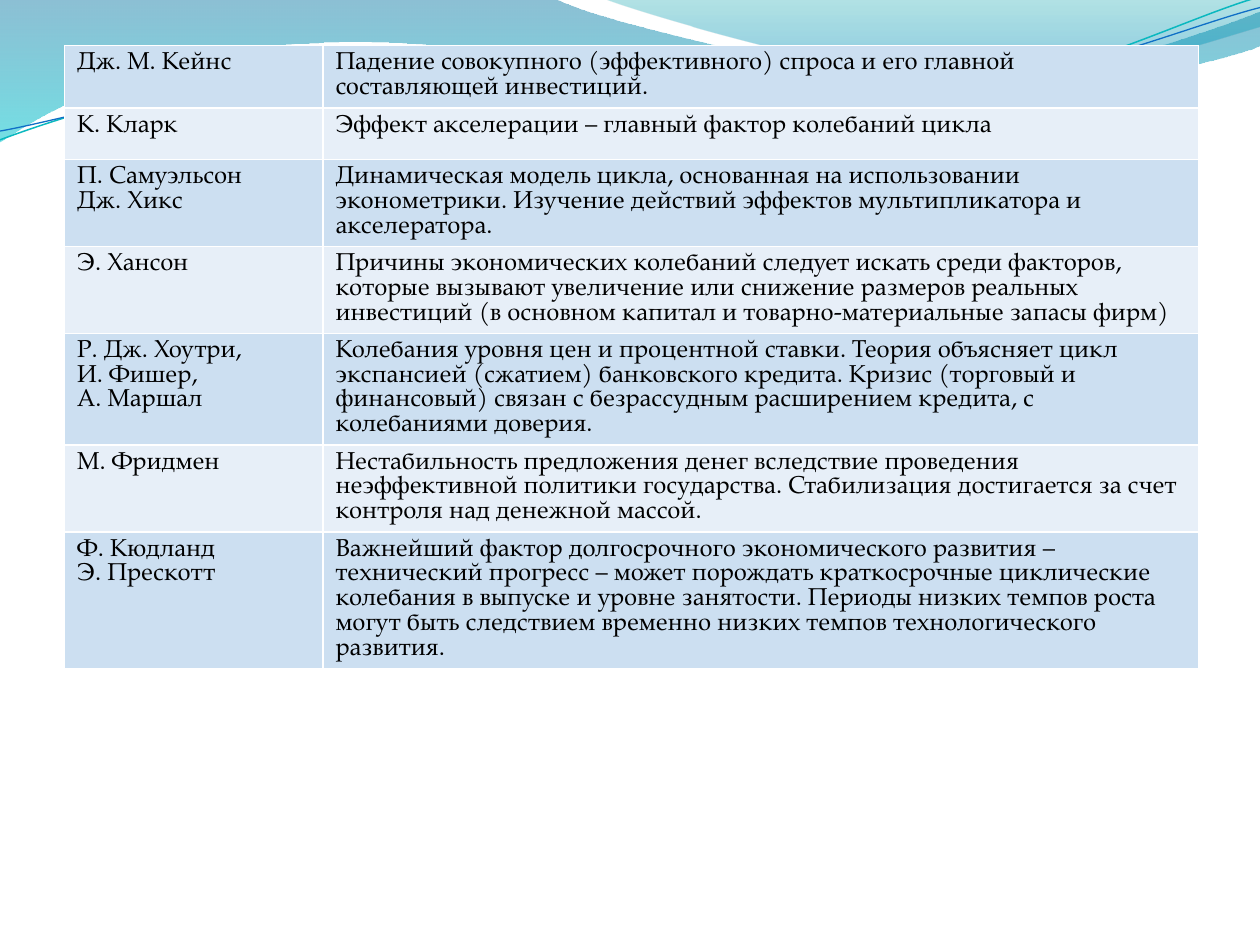
"""Builds a slide with a table of economists and their business cycle theories."""
from itertools import chain
from math import cos, radians, sin

from pptx import Presentation
from pptx.dml.color import RGBColor as Color
from pptx.oxml.ns import qn
from pptx.oxml.xmlchemy import OxmlElement as new_element
from pptx.util import Emu, Inches, Pt

SLIDE_WIDTH, SLIDE_HEIGHT = Inches(10), Inches(7.5)
GRID_COLUMNS, GRID_ROWS = 1000, 750
FONT, FONT_SIZE, LINE_PITCH = "TeX Gyre Pagella", Pt(14), Pt(14.15)
ROW_HEIGHT = Inches(0.41)

WHITE = Color(0xFF, 0xFF, 0xFF)
BLACK = Color(0x00, 0x00, 0x00)
BAND_DARK = Color(0xCC, 0xDF, 0xF1)
BAND_LIGHT = Color(0xE7, 0xEF, 0xF8)
DEEP_BLUE = Color(0x00, 0x74, 0xA1)
CYAN = Color(0x00, 0xC6, 0xCF)
SEA_GREEN = Color(0x00, 0xA1, 0xA9)
SKY_BLUE = Color(0x00, 0x8B, 0xBF)
TEAL = Color(0x0A, 0xB8, 0xBF)
ROYAL_BLUE = Color(0x0F, 0x6F, 0xC6)

FILLED_WAVES = [
    ([(0, 0), (440, -1),
      (476, 17, 664, 63, 758, 63), (853, 63, 958, 26, 1000, 9), (1001, 36),
      (983, 44, 870, 76, 746, 75), (622, 75, 382, 28, 257, 34),
      (129, 36, 46, 83, -1, 113), (0, 0)],
     [(0, DEEP_BLUE, 45), (1, CYAN, 55)]),
    ([(479, -1), (509, 11, 682, 62, 769, 65), (856, 69, 961, 32, 1000, 21),
      (1000, 0), (479, -1)],
     [(0, SEA_GREEN, 30), (0.8, SKY_BLUE, 45)]),
]
LINE_TILT = 2.7
LINE_CENTER = (499, 58)
LINE_WAVES = [
    ([(0, 111), (48, 93, 158, 57, 277, 52), (395, 47, 593, 89, 713, 80),
      (833, 71, 938, 15, 998, -2)], TEAL, 0.85),
    ([(0, 104), (47, 96, 164, 61, 283, 56), (403, 51, 597, 84, 717, 75),
      (836, 67, 941, 21, 1000, 6)], ROYAL_BLUE, 0.75),
]

TABLE_LEFT, TABLE_TOP = 51.3, 36.3
TABLE_COLUMNS = (205, 695)
THEORIES = [
    (["Дж. М. Кейнс"],
     ["Падение совокупного (эффективного) спроса и его главной",
      "составляющей инвестиций."]),
    (["К. Кларк"],
     ["Эффект акселерации – главный фактор колебаний цикла"]),
    (["П. Самуэльсон", "Дж. Хикс"],
     ["Динамическая модель цикла, основанная на использовании",
      "эконометрики. Изучение действий эффектов мультипликатора и",
      "акселератора."]),
    (["Э. Хансон"],
     ["Причины экономических колебаний следует искать среди факторов,",
      "которые вызывают увеличение или снижение размеров реальных",
      "инвестиций (в основном капитал и товарно-материальные запасы фирм)"]),
    (["Р. Дж. Хоутри,", "И. Фишер,", "А. Маршал"],
     ["Колебания уровня цен и процентной ставки. Теория объясняет цикл",
      "экспансией (сжатием) банковского кредита. Кризис (торговый и",
      "финансовый) связан с безрассудным расширением кредита, с",
      "колебаниями доверия."]),
    (["М. Фридмен"],
     ["Нестабильность предложения денег вследствие проведения",
      "неэффективной политики государства. Стабилизация достигается за счет",
      "контроля над денежной массой."]),
    (["Ф. Кюдланд", "Э. Прескотт"],
     ["Важнейший фактор долгосрочного экономического развития –",
      "технический прогресс – может порождать краткосрочные циклические",
      "колебания в выпуске и уровне занятости. Периоды низких темпов роста",
      "могут быть следствием временно низких темпов технологического",
      "развития."]),
]


def across(columns):
    """Return the width of a number of grid columns."""
    return Emu(round(SLIDE_WIDTH * columns / GRID_COLUMNS))


def down(rows):
    """Return the height of a number of grid rows."""
    return Emu(round(SLIDE_HEIGHT * rows / GRID_ROWS))


def turn(point, degrees):
    """Turn a grid point clockwise around the centre of the line waves."""
    angle = radians(degrees)
    x, y = (value - center for value, center in zip(point, LINE_CENTER))
    return (LINE_CENTER[0] + x * cos(angle) - y * sin(angle),
            LINE_CENTER[1] + x * sin(angle) + y * cos(angle))


def bend(shape, segments):
    """Turn each three-point group of straight lines into one cubic curve."""
    lines = iter(list(shape._element.iter(qn("a:lnTo"))))
    for segment in segments[1:]:
        group = [next(lines) for _ in range(len(segment) // 2)]
        if len(group) == 3:
            curve = new_element("a:cubicBezTo")
            group[0].addprevious(curve)
            for line in group:
                curve.append(line[0])
                line.getparent().remove(line)


def add_wave(slide, segments, close, tilt=0):
    """Add a curved freeform, tilted counter-clockwise."""
    values = list(chain.from_iterable(segments))
    points = [turn(point, tilt) for point in zip(values[::2], values[1::2])]
    first, *others = [(across(x), down(y)) for x, y in points]
    builder = slide.shapes.build_freeform(*first, scale=1.0)
    builder.add_line_segments(others, close=close)
    shape = builder.convert_to_shape()
    bend(shape, segments)
    shape.rotation = -tilt
    shape.shadow.inherit = False
    return shape


def add_filled_wave(slide, segments, stops):
    """Add a wave with a translucent gradient from top to bottom."""
    shape = add_wave(slide, segments, True)
    shape.line.fill.background()
    shape.fill.gradient()
    shape.fill.gradient_angle = 270
    for gradient_stop, (position, color, _) in zip(shape.fill.gradient_stops, stops):
        gradient_stop.position = position
        gradient_stop.color.rgb = color
    for color_element, (_, _, opacity) in zip(shape._element.iter(qn("a:srgbClr")), stops):
        alpha = new_element("a:alpha")
        alpha.set("val", str(opacity * 1000))
        color_element.append(alpha)


def add_line_wave(slide, segments, color, width):
    """Add an open wave drawn as a thin line."""
    shape = add_wave(slide, segments, False, LINE_TILT)
    shape.fill.background()
    shape.line.color.rgb = color
    shape.line.width = Pt(width)


def add_borders(cell):
    """Put a white border on each side of a cell."""
    properties = cell._tc.get_or_add_tcPr()
    for index, side in enumerate(("a:lnL", "a:lnR", "a:lnT", "a:lnB")):
        border = new_element(side)
        border.set("w", str(Pt(1)))
        fill = new_element("a:solidFill")
        color = new_element("a:srgbClr")
        color.set("val", str(WHITE))
        fill.append(color)
        border.append(fill)
        properties.insert(index, border)


def fill_cell(cell, lines, color):
    """Write the lines into a cell and colour it."""
    cell.fill.solid()
    cell.fill.fore_color.rgb = color
    add_borders(cell)
    frame = cell.text_frame
    for index, line in enumerate(lines):
        paragraph = frame.add_paragraph() if index else frame.paragraphs[0]
        paragraph.line_spacing = LINE_PITCH
        run = paragraph.add_run()
        run.text = line
        run.font.name = FONT
        run.font.size = FONT_SIZE
        run.font.color.rgb = BLACK


def add_theory_table(slide):
    """Add the table, whose rows grow with their text."""
    table = slide.shapes.add_table(
        len(THEORIES), len(TABLE_COLUMNS), across(TABLE_LEFT), down(TABLE_TOP),
        across(sum(TABLE_COLUMNS)), ROW_HEIGHT * len(THEORIES)).table
    table.first_row = False
    for column, width in zip(table.columns, TABLE_COLUMNS):
        column.width = across(width)
    for index, (row, theory) in enumerate(zip(table.rows, THEORIES)):
        row.height = ROW_HEIGHT
        for cell, lines in zip(row.cells, theory):
            fill_cell(cell, lines, BAND_LIGHT if index % 2 else BAND_DARK)


def main():
    """Build and save the presentation."""
    presentation = Presentation()
    presentation.slide_width, presentation.slide_height = SLIDE_WIDTH, SLIDE_HEIGHT
    slide = presentation.slides.add_slide(presentation.slide_layouts[6])
    for wave in FILLED_WAVES:
        add_filled_wave(slide, *wave)
    for wave in LINE_WAVES:
        add_line_wave(slide, *wave)
    add_theory_table(slide)
    presentation.save("out.pptx")


main()
